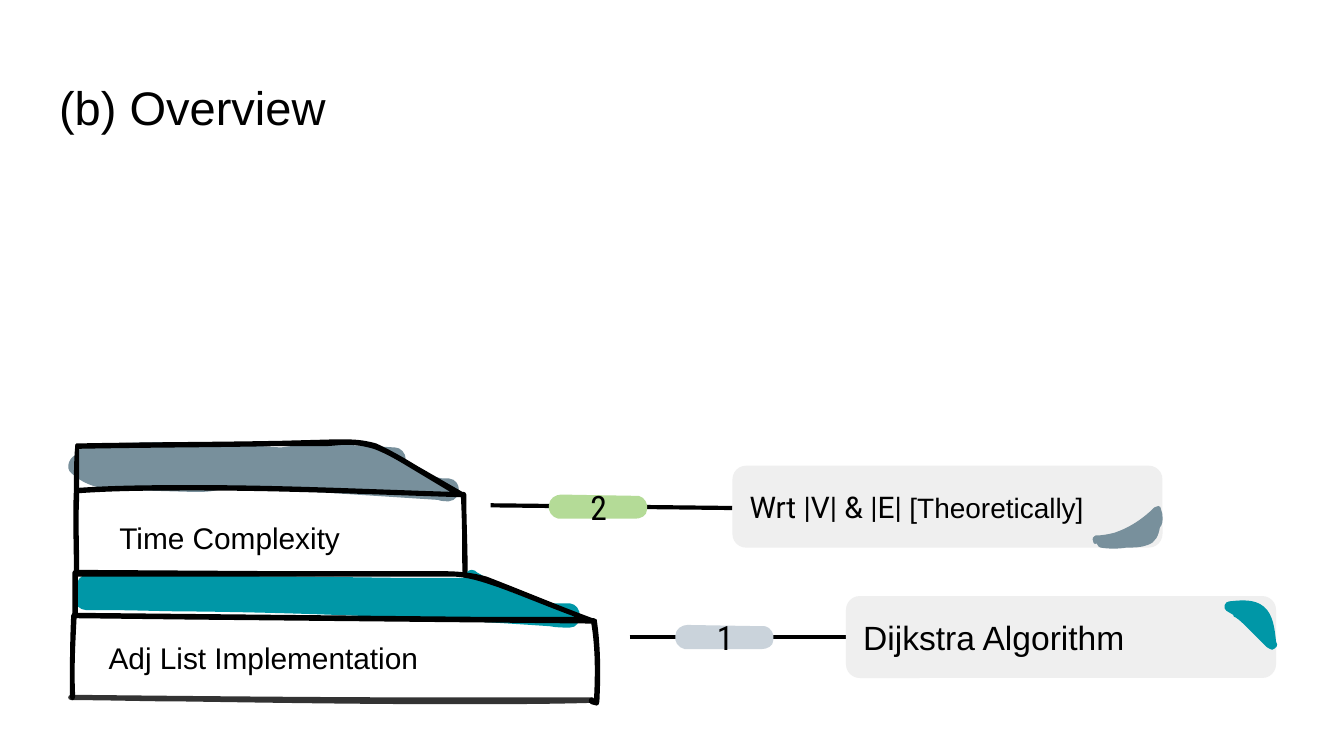
from dataclasses import dataclass

from lxml.etree import Element, SubElement
from pptx import Presentation
from pptx.dml.color import RGBColor
from pptx.enum.shapes import MSO_CONNECTOR, MSO_SHAPE
from pptx.enum.text import MSO_ANCHOR, MSO_AUTO_SIZE, PP_ALIGN
from pptx.oxml.ns import qn
from pptx.util import Inches, Pt


@dataclass(frozen=True)
class Theme:
    """Colours, fonts and type sizes of the deck."""
    ink: str = "000000"
    base: str = "333333"
    card: str = "EFEFEF"
    teal: str = "0097A7"
    slate: str = "78909C"
    mist: str = "CAD3DB"
    lime: str = "B4DB97"
    sans: str = "Arial"
    alt: str = "Roboto"
    narrow: str = "Roboto Condensed"
    title: float = 25.2
    large: float = 18
    body: float = 16
    small: float = 15
    rule: float = 2.25


T = Theme()
WIDTH = Inches(10)
HEIGHT = WIDTH * 9 // 16
COL = WIDTH // 1000

PILL = ("M 74 8 L 16 7 C 12 7 7 10 7 15 C 6 19 9 24 14 25 L 71 25 "
        "C 75 25 80 23 80 18 C 81 14 78 9 74 8 Z")
TEAL_CORNER = (
    "M 285 4 C 294 3 304 2 311 8 C 318 14 319 25 320 34 C 322 37 320 39 317 40 "
    "C 316 40 315 39 313 38 L 299 24 C 295 20 293 18 290 16 C 289 16 288 15 288 14 "
    "C 286 13 285 12 283 11 C 280 9 282 4 285 4 Z")
SLATE_CORNER = (
    "M 320 39 C 320 41 320 44 318 46 C 317 52 315 57 309 59 C 304 61 298 61 293 61 "
    "C 287 62 280 62 274 61 C 273 61 272 60 271 58 C 269 59 268 57 268 55 "
    "C 268 54 268 53 270 52 C 275 52 280 51 284 50 C 296 46 306 39 314 31 "
    "C 315 30 316 30 317 30 C 318 30 319 31 319 33 C 320 35 320 37 320 39 Z")
LOWER_BRUSH = (
    "M 301 0 C 303 0 304 1 305 2 C 309 4 313 7 317 9 C 318 10 319 10 320 10 "
    "C 322 10 324 12 325 14 C 336 19 348 23 360 25 L 374 25 C 384 26 384 43 374 43 "
    "C 369 43 364 43 359 42 C 271 36 182 32 93 31 C 72 31 50 30 28 30 L 14 30 "
    "C 10 30 5 26 6 22 C 6 19 6 16 7 13 C 7 8 10 4 14 4 L 169 5 L 246 6 L 295 6 "
    "C 296 3 298 0 301 0 Z")
LOWER_BASE = (
    "M 3 93 C 98 94 193 95 288 95 L 391 95 C 393 95 393 99 391 99 "
    "C 357 100 322 100 288 100 C 222 100 155 99 89 98 C 60 98 32 97 3 97 "
    "C 0 97 0 93 3 93 Z")
LOWER_OUTLINE = (
    "M 8 5 L 8 32 L 307 35 L 378 35 C 359 28 340 20 321 13 C 309 9 298 5 285 5 L 94 5 Z "
    "M 6 0 L 163 1 L 279 1 C 291 1 301 2 312 5 C 338 15 364 26 391 36 L 392 36 "
    "C 393 36 393 36 394 37 C 397 57 397 78 396 98 C 396 100 395 101 394 101 L 390 100 "
    "C 387 99 388 95 390 95 L 392 96 C 393 77 393 58 390 40 L 90 37 L 7 36 "
    "C 6 56 5 75 6 94 C 6 96 5 97 4 97 C 3 97 2 96 2 94 C 2 74 2 54 3 34 "
    "C 3 33 3 33 4 32 L 4 2 C 4 1 5 0 6 0 Z")
UPPER_BRUSH = (
    "M 76 2 C 104 2 133 4 161 6 C 173 4 186 4 198 4 C 214 4 230 5 246 6 "
    "C 250 6 254 10 254 15 C 256 17 259 18 262 20 C 268 24 274 28 281 29 L 286 29 "
    "C 296 30 296 45 286 46 C 284 46 280 46 278 45 L 123 35 C 115 38 108 39 101 39 "
    "L 94 39 L 59 38 C 40 38 20 39 5 25 C 0 21 4 12 10 11 C 10 7 13 4 17 4 "
    "C 37 3 56 2 76 2 Z")
UPPER_OUTLINE = (
    "M 210 4 C 204 4 199 5 193 5 L 157 5 C 108 6 60 6 11 7 L 11 36 "
    "C 40 34 70 34 99 34 C 162 34 224 37 287 39 L 262 24 C 252 18 241 11 230 7 "
    "C 223 5 217 4 210 4 Z "
    "M 211 0 C 218 0 225 1 232 3 C 243 8 253 14 263 20 L 296 39 L 297 39 "
    "C 298 39 299 40 299 41 C 299 60 300 79 300 98 C 300 99 299 100 298 100 "
    "C 297 100 296 99 296 98 C 296 80 296 62 295 43 C 229 41 164 38 99 38 "
    "C 69 38 40 38 11 40 L 11 43 C 10 61 11 79 11 97 C 11 98 10 99 9 99 "
    "C 8 99 7 98 7 97 C 7 77 6 58 7 38 C 7 27 7 16 8 5 C 8 4 8 3 9 3 "
    "C 60 2 111 2 162 1 L 199 0 L 211 0 Z")


def cols(*values):
    """Turn grid columns into slide lengths."""
    return [round(v * COL) for v in values]


def segments(contour, x, y):
    """List the slide points of each segment of a contour, controls first."""
    tokens = iter(contour.split())
    return [[cols(x + int(next(tokens)), y + int(next(tokens)))
             for _ in range(3 if command == "C" else 1)] for command in tokens]


def paint(sp, color):
    """Give a shape a plain fill without line or shadow."""
    sp.shadow.inherit = False
    sp.fill.solid()
    sp.fill.fore_color.rgb = RGBColor.from_string(color)
    sp.line.fill.background()


def add_stroke(s, x, y, outline, color):
    """Draw a filled hand-drawn outline from the corner x, y."""
    contours = [segments(c, x, y) for c in outline.split("Z") if c.strip()]
    builder = s.shapes.build_freeform(*contours[0][0][-1])
    for contour in contours:
        if contour is not contours[0]:
            builder.move_to(*contour[0][-1])
        builder.add_line_segments([points[-1] for points in contour[1:]], close=True)
    sp = builder.convert_to_shape()
    paint(sp, color)
    drawn = [points for contour in contours for points in contour[1:]]
    for segment, points in zip(list(sp._element.iter(qn("a:lnTo"))), drawn):
        if len(points) == 3:
            segment.tag = qn("a:cubicBezTo")
            for i, (px, py) in enumerate(points[:2]):
                segment.insert(i, Element(qn("a:pt"), x=str(px - sp.left), y=str(py - sp.top)))


def write(sp, runs, anchor=MSO_ANCHOR.TOP, align=PP_ALIGN.LEFT, right=10):
    """Fill a shape with one paragraph of (text, size, font) runs."""
    tf = sp.text_frame
    tf.word_wrap = True
    tf.vertical_anchor = anchor
    tf.margin_left, tf.margin_top, tf.margin_right, tf.margin_bottom = cols(10, 10, right, 10)
    p = tf.paragraphs[0]
    p.alignment = align
    for text, size, font in runs:
        r = p.add_run()
        r.text = text
        r.font.size = Pt(size)
        r.font.name = font
        r.font.color.rgb = RGBColor.from_string(T.ink)
    return tf


def add_title(s, x, y, w, h, text):
    """Place the slide title."""
    write(s.shapes.add_textbox(*cols(x, y, w, h)), [(text, T.title, T.sans)])


def add_tier(s, x, y, strokes, label, label_box):
    """Draw one tier of the stack with its label."""
    for outline, color in strokes:
        add_stroke(s, x, y, outline, color)
    dx, dy, w, h = label_box
    tf = write(s.shapes.add_textbox(*cols(x + dx, y + dy, w, h)), [(label, T.body, T.sans)])
    tf.auto_size = MSO_AUTO_SIZE.SHAPE_TO_FIT_TEXT


def add_callout(s, x, y, w, h, lead, tilt, number, pill, corner, corner_color, runs):
    """Draw a card, its lead line to the left and the numbered pill."""
    middle = y + h / 2
    line = s.shapes.add_connector(MSO_CONNECTOR.STRAIGHT, *cols(
        x - lead, middle - tilt / 2, x, middle + tilt / 2))
    line.line.color.rgb = RGBColor.from_string(T.ink)
    line.line.width = Pt(T.rule)
    SubElement(line._element.spPr, qn("a:effectLst"))
    card = s.shapes.add_shape(MSO_SHAPE.ROUNDED_RECTANGLE, *cols(x, y, w, h))
    paint(card, T.card)
    write(card, runs, MSO_ANCHOR.MIDDLE, right=40)
    add_stroke(s, x, y, corner, corner_color)
    pill_w, pill_h = 88, 32
    left, top = x - lead / 2 - 9.5 - pill_w / 2, middle - pill_h / 2
    add_stroke(s, left, top, PILL, pill)
    write(s.shapes.add_textbox(*cols(left, top, pill_w, pill_h)),
          [(number, T.large, T.narrow)], MSO_ANCHOR.MIDDLE, PP_ALIGN.CENTER)


def main():
    """Build the overview slide."""
    prs = Presentation()
    prs.slide_width, prs.slide_height = WIDTH, HEIGHT
    s = prs.slides.add_slide(prs.slide_layouts[6])
    add_title(s, 34.1, 48.7, 932, 63, "(b) Overview")
    add_callout(s, 629.5, 443.5, 320, 61, 161, 0, "1", T.mist, TEAL_CORNER, T.teal,
                [("Dijkstra Algorithm", T.large, T.sans)])
    add_tier(s, 50, 424,
             [(LOWER_BRUSH, T.teal), (LOWER_BASE, T.base), (LOWER_OUTLINE, T.ink)],
             "Adj List Implementation", (21, 42, 375, 47))
    add_callout(s, 545, 346.5, 320, 61, 180, 2, "2", T.lime, SLATE_CORNER, T.slate,
                [("Wrt |V| & |E| ", T.body, T.alt), ("[Theoretically]", T.small, T.sans)])
    add_tier(s, 48, 327, [(UPPER_BRUSH, T.slate), (UPPER_OUTLINE, T.ink)],
             "Time Complexity", (31, 50, 600, 47))
    prs.save("out.pptx")


if __name__ == "__main__":
    main()
